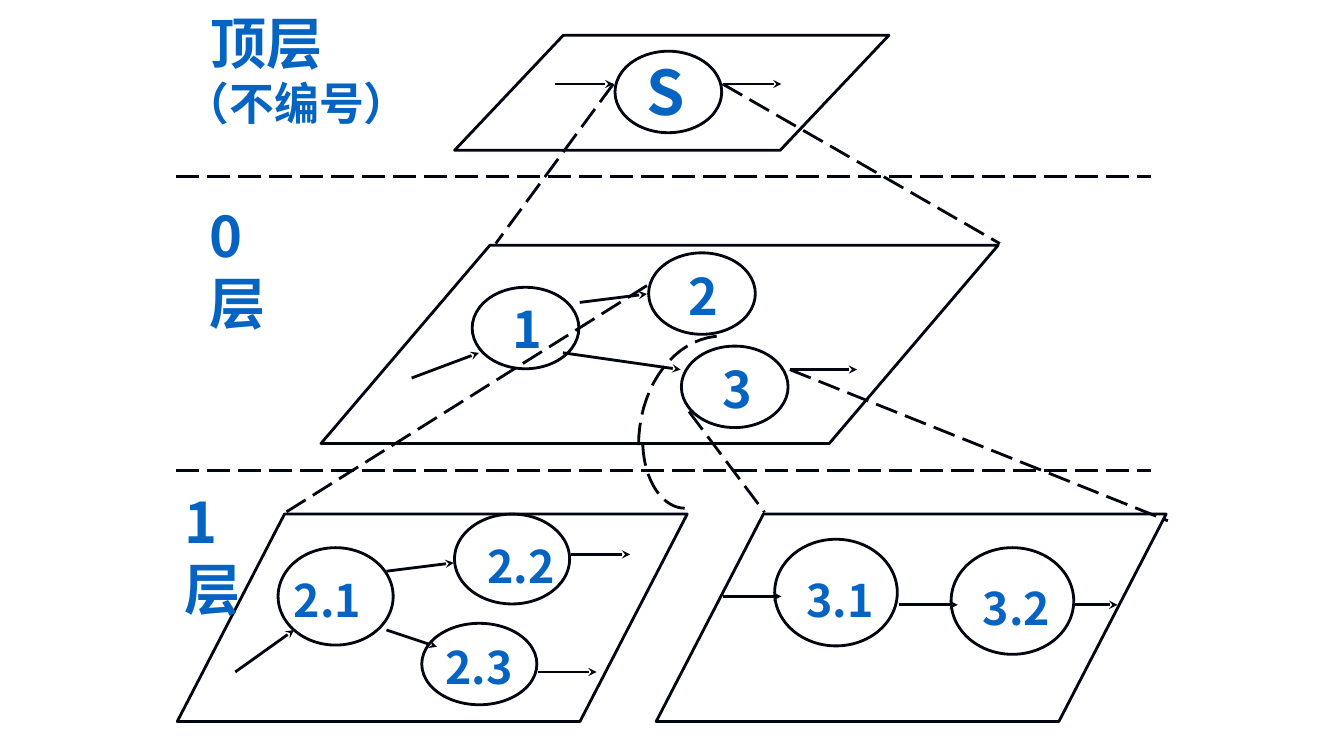
from dataclasses import dataclass
from math import cos, radians, sin

from lxml.etree import SubElement
from pptx import Presentation
from pptx.dml.color import RGBColor
from pptx.enum.dml import MSO_LINE
from pptx.enum.shapes import MSO_CONNECTOR, MSO_SHAPE
from pptx.enum.text import MSO_AUTO_SIZE
from pptx.oxml.ns import qn
from pptx.util import Inches, Pt


@dataclass(frozen=True)
class Theme:
    font: str = "Noto Sans CJK SC"
    ink: RGBColor = RGBColor(0x01, 0x05, 0x0F)
    blue: RGBColor = RGBColor(0x05, 0x63, 0xC1)
    stroke: int = 2
    system: int = 44
    level: int = 40
    process: int = 36
    detail: int = 32


class Diagram:
    """Draws on a grid of 160 columns by 90 rows, twelve cells to the inch."""

    def __init__(self, s, theme):
        self.s, self.theme = s, theme

    def cells(self, *values):
        return [Inches(v / 12) for v in values]

    def outline(self, sp, dashed=False):
        sp.line.color.rgb = self.theme.ink
        sp.line.width = Pt(self.theme.stroke)
        if dashed:
            sp.line.dash_style = MSO_LINE.LONG_DASH

    def shape(self, kind, box):
        sp = self.s.shapes.add_shape(kind, *self.cells(*box))
        sp.shadow.inherit = False
        sp.fill.background()
        self.outline(sp)
        return sp

    def plane(self, box, slant):
        self.shape(MSO_SHAPE.PARALLELOGRAM, box).adjustments[0] = slant

    def text(self, box, lines, wrap=False):
        """Each line is (text, size, left margin in cells)."""
        tf = self.s.shapes.add_textbox(*self.cells(*box)).text_frame
        tf.word_wrap = wrap
        tf.auto_size = MSO_AUTO_SIZE.SHAPE_TO_FIT_TEXT
        for i, (text, size, margin) in enumerate(lines):
            p = tf.add_paragraph() if i else tf.paragraphs[0]
            if margin:
                p._p.get_or_add_pPr().set("marL", str(Inches(margin / 12)))
            r = p.add_run()
            r.text = text
            r.font.name = self.theme.font
            r.font.size = Pt(size)
            r.font.bold = True
            r.font.color.rgb = self.theme.blue
            SubElement(r._r.get_or_add_rPr(), qn("a:ea"), typeface=self.theme.font)

    def bubble(self, name, box, label_at, label_size, size):
        self.shape(MSO_SHAPE.OVAL, box)
        self.text((*label_at, *label_size), [(name, size, 0)])

    def line(self, x1, y1, x2, y2, dashed=False, arrow=False):
        c = self.s.shapes.add_connector(MSO_CONNECTOR.STRAIGHT, *self.cells(x1, y1, x2, y2))
        self.outline(c, dashed)
        if arrow:
            SubElement(c.line._get_or_add_ln(), qn("a:tailEnd"), type="stealth")
        SubElement(c._element.spPr, qn("a:effectLst"))

    def quarter_arc(self, cx, cy, rx, ry, start, steps=18):
        """Dashed quarter ellipse running clockwise from the start angle."""
        angles = [radians(start + 90 * i / steps) for i in range(steps + 1)]
        points = [self.cells(cx + rx * cos(a), cy + ry * sin(a)) for a in angles]
        fb = self.s.shapes.build_freeform(*points[0])
        fb.add_line_segments(points[1:], close=False)
        sp = fb.convert_to_shape()
        sp.shadow.inherit = False
        sp.fill.background()
        self.outline(sp, dashed=True)


def main():
    prs = Presentation()
    prs.slide_width, prs.slide_height = Inches(13.33), Inches(7.5)
    t = Theme()
    d = Diagram(prs.slides.add_slide(prs.slide_layouts[6]), t)

    for box, slant in [
        ((54.1, 4.2, 51.7, 13.7), 0.945),
        ((38.2, 29.2, 80.6, 23.6), 0.852),
        ((21.1, 61.2, 60.7, 24.7), 0.517),
        ((78.1, 61.2, 60.7, 24.7), 0.517),
    ]:
        d.plane(box, slant)

    label_sizes = {t.system: (6.1, 10.1), t.process: (5.5, 8.5), t.detail: (10.6, 7.7)}
    for name, box, label_at, size in [
        ("S", (73.2, 6.1, 12.7, 9.7), (75.8, 5.8), t.system),
        ("1", (56.2, 34.2, 12.7, 9.7), (59.8, 34.9), t.process),
        ("2", (77.2, 30.1, 12.7, 9.7), (80.8, 31), t.process),
        ("3", (81.1, 41.2, 12.7, 9.7), (84.8, 42), t.process),
        ("2.1", (33.1, 65.2, 13.7, 11.6), (33.8, 67.6), t.detail),
        ("2.2", (54.1, 61.2, 13.7, 10.7), (56.8, 63.6), t.detail),
        ("2.3", (50.2, 74.2, 13.7, 9.7), (51.8, 75.6), t.detail),
        ("3.1", (92.2, 64.2, 14.6, 12.7), (94.8, 67.6), t.detail),
        ("3.2", (113.2, 65.2, 14.6, 12.7), (115.8, 68.6), t.detail),
    ]:
        d.bubble(name, box, label_at, label_sizes[size], size)

    data_flows = [
        (66, 10, 73, 10), (86, 10, 93, 10),
        (49, 45, 57, 42), (67, 42, 81, 44), (69, 36, 77, 35), (94, 44, 102, 44),
        (28, 80, 35, 75), (46, 75, 52, 77), (46, 68, 54, 67),
        (64, 80, 71, 80), (68, 66, 75, 66),
        (86, 71, 93, 71), (107, 72, 114, 72), (128, 72, 133, 72),
    ]
    for flow in data_flows:
        d.line(*flow, arrow=True)

    expansions = [
        (73, 10, 59, 29), (86, 10, 119, 29), (77, 34, 34, 61),
        (94, 44, 139, 62), (82, 49, 91, 61),
    ]
    level_borders = [(21, y, 137, y) for y in (21, 56)]
    for dash in expansions + level_borders:
        d.line(*dash, dashed=True)
    d.quarter_arc(86, 53, 10, 13, start=180)
    d.quarter_arc(81.5, 52.5, 5, 8, start=90)

    d.text((20.8, 0.4, 32.2, 15.7),
           [("顶层", t.level, 3.1), ("（不编号）", t.detail, 0)], wrap=True)
    for name, left, top in [("0层", 23.8, 23.4), ("1层", 20.8, 57.4)]:
        d.text((left, top, 12.6, 9.2), [(name, t.level, 0)], wrap=True)

    prs.save("out.pptx")


if __name__ == "__main__":
    main()
